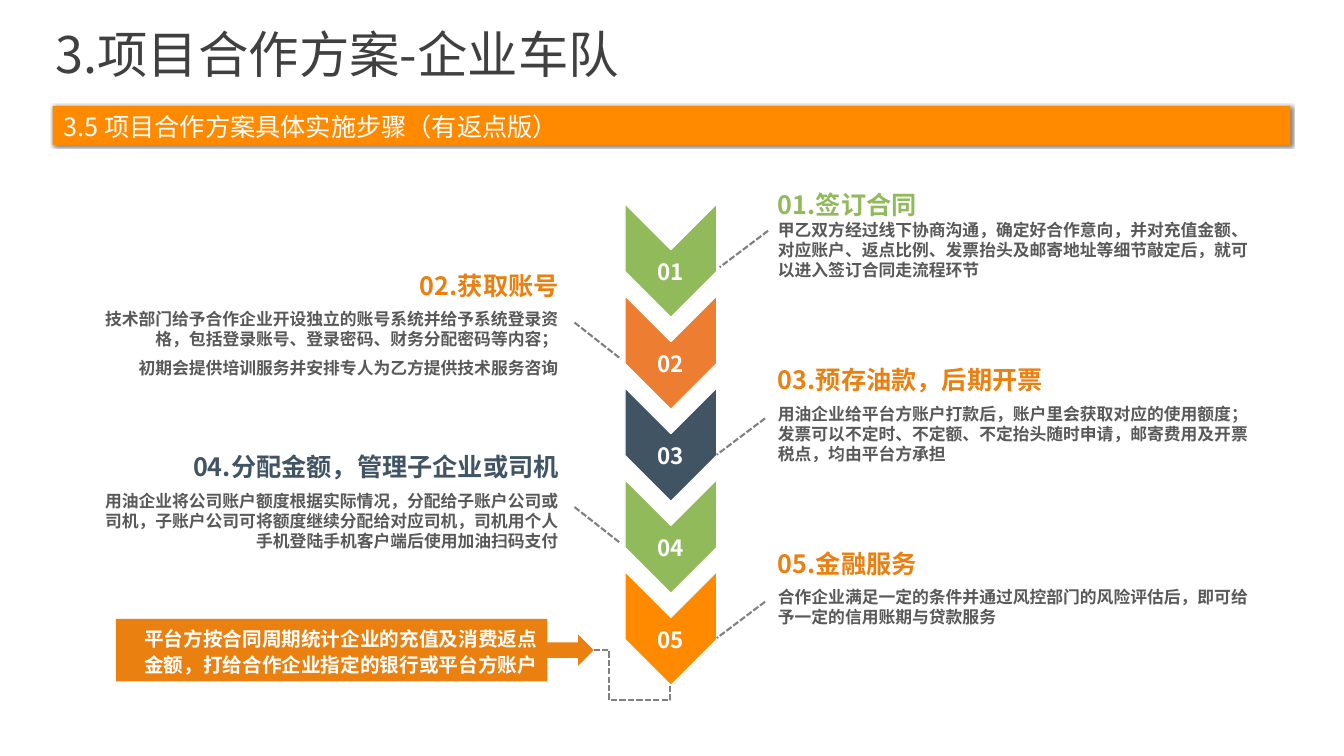
from lxml import etree
from pptx import Presentation
from pptx.dml.color import RGBColor
from pptx.enum.dml import MSO_LINE
from pptx.enum.shapes import MSO_CONNECTOR, MSO_SHAPE
from pptx.enum.text import MSO_ANCHOR, MSO_AUTO_SIZE, PP_ALIGN
from pptx.oxml.ns import qn
from pptx.util import Pt

FONT = "Noto Sans CJK SC"
COLORS = {
    "title": "404040", "body": "595959", "white": "FFFFFF", "leader": "808080",
    "bar": "FF8A00", "amber": "EA8010", "orange": "ED7D31",
    "green": "91BA5B", "slate": "415463", "shadow": "000000",
}
LEFT, CENTER, RIGHT = PP_ALIGN.LEFT, PP_ALIGN.CENTER, PP_ALIGN.RIGHT
TOP, MIDDLE = MSO_ANCHOR.TOP, MSO_ANCHOR.MIDDLE
FIT = MSO_AUTO_SIZE.SHAPE_TO_FIT_TEXT
STRAIGHT, ELBOW = MSO_CONNECTOR.STRAIGHT, MSO_CONNECTOR.ELBOW

CHEVRON_COLORS = ["green", "orange", "slate", "green", "bar"]
STEPS = [
    ("01.签订合同", "green", (548.6, 131.8, 354.5, 73.4), LEFT, 0, (548.6, 164.9),
     ["甲乙双方经过线下协商沟通，确定好合作意向，并对充值金额、对应账户、返点比例、"
      "发票抬头及邮寄地址等细节敲定后，就可以进入签订合同走流程环节"]),
    ("02.获取账号", "amber", (64.8, 189.4, 341.3, 85.7), RIGHT, 6, (410.4, 230.4),
     ["技术部门给予合作企业开设独立的账号系统并给予系统登录资格，"
      "包括登录账号、登录密码、财务分配密码等内容；",
      "初期会提供培训服务并安排专人为乙方提供技术服务咨询"]),
    ("03.预存油款，后期开票", "amber", (548.6, 257, 355, 100.1), LEFT, 6, (546.5, 298.8),
     ["用油企业给平台方账户打款后，账户里会获取对应的使用额度；"
      "发票可以不定时、不定额、不定抬头随时申请，邮寄费用及开票税点，均由平台方承担"]),
    ("04.分配金额，管理子企业或司机", "slate", (64.8, 319, 341.3, 100.1), RIGHT, 6, (410.4, 362.2),
     ["用油企业将公司账户额度根据实际情况，分配给子账户公司或司机，"
      "子账户公司可将额度继续分配给对应司机，司机用个人手机登陆手机客户端后使用加油扫码支付"]),
    ("05.金融服务", "amber", (548.6, 388.1, 355, 64.8), LEFT, 6, (546.5, 429.8),
     ["合作企业满足一定的条件并通过风控部门的风险评估后，即可给予一定的信用账期与贷款服务"]),
]


def rgb(name):
    return RGBColor.from_string(COLORS[name])


def points(*values):
    return [Pt(value) for value in values]


def add_span(para, text, size, color, bold=False):
    span = para.add_run()
    span.text = text
    span.font.size = Pt(size)
    span.font.bold = bold
    span.font.color.rgb = rgb(color)
    span.font.name = FONT
    etree.SubElement(span.font._element, qn("a:ea"), typeface=FONT)


def set_frame(frame, insets=(7.2, 3.6, 7.2, 3.6), anchor=TOP):
    frame.word_wrap = True
    frame.vertical_anchor = anchor
    (frame.margin_left, frame.margin_top,
     frame.margin_right, frame.margin_bottom) = points(*insets)


def add_block(shapes, kind, box, fill):
    block = shapes.add_shape(kind, *points(*box))
    block.shadow.inherit = False
    block.fill.solid()
    block.fill.fore_color.rgb = rgb(fill)
    block.line.fill.background()
    return block


def add_leader(page, kind, start, end):
    leader = page.shapes.add_connector(kind, *points(*start, *end))
    leader.line.color.rgb = rgb("leader")
    leader.line.width = Pt(1.5)
    leader.line.dash_style = MSO_LINE.SQUARE_DOT
    etree.SubElement(leader._element.spPr, qn("a:effectLst"))
    return leader


def add_title(page, box):
    title = page.shapes.title
    title.left, title.top, title.width, title.height = points(*box)
    set_frame(title.text_frame, (0, 0, 0, 0))
    title.text_frame.auto_size = MSO_AUTO_SIZE.NONE
    para = title.text_frame.paragraphs[0]
    para.alignment = LEFT
    para.line_spacing = 0.8
    add_span(para, "3.项目合作方案-企业车队", 36, "title")


def add_subtitle_bar(page, box):
    bar = add_block(page.shapes, MSO_SHAPE.RECTANGLE, box, "bar")
    effects = bar._element.spPr.find(qn("a:effectLst"))
    shadow = etree.SubElement(effects, qn("a:outerShdw"), blurRad=str(Pt(2)),
                              dist=str(Pt(1)), dir="2700000", rotWithShape="0")
    tint = etree.SubElement(shadow, qn("a:srgbClr"), val=COLORS["shadow"])
    etree.SubElement(tint, qn("a:alpha"), val="50000")
    set_frame(bar.text_frame, (7.9, 2, 0, 0), MIDDLE)
    para = bar.text_frame.paragraphs[0]
    para.alignment = LEFT
    add_span(para, "3.5 项目合作方案具体实施步骤（有返点版）", 18, "white")


def add_chevrons(page, left, top, pitch):
    column = page.shapes.add_group_shape()
    for index, color in enumerate(CHEVRON_COLORS):
        row = top + index * pitch
        chevron = add_block(column.shapes, MSO_SHAPE.CHEVRON, (left, row, 81.4, 65.5), color)
        chevron.rotation = 90
        chevron.line.color.rgb = rgb("white")
        chevron.line.width = Pt(1)
        label = column.shapes.add_textbox(*points(left + 7.9, row + 27.6, 64.8, 28))
        set_frame(label.text_frame)
        label.text_frame.auto_size = FIT
        para = label.text_frame.paragraphs[0]
        para.alignment = CENTER
        add_span(para, f"{index + 1:02d}", 16, "white", True)


def add_step(page, heading, color, box, align, gap, leader_start, details):
    block = page.shapes.add_textbox(*points(*box))
    frame = block.text_frame
    set_frame(frame)
    frame.auto_size = FIT
    lines = [(heading, 18, color)] + [(detail, 12, "body") for detail in details]
    for index, (text, size, tone) in enumerate(lines):
        para = frame.add_paragraph() if index else frame.paragraphs[0]
        para.alignment = align
        para.space_after = Pt(gap)
        add_span(para, text, size, tone, True)
    across = 33.1 if align == RIGHT else -34.5
    add_leader(page, STRAIGHT, leader_start, (leader_start[0] + across, leader_start[1] + 26))


def add_rebate_callout(page, box, target):
    left, top, width, height = box
    callout = add_block(page.shapes, MSO_SHAPE.RIGHT_ARROW_CALLOUT, box, "amber")
    for index, ratio in enumerate((0.25, 0.25, 0.25, 0.903)):
        callout.adjustments[index] = ratio
    set_frame(callout.text_frame, anchor=MIDDLE)
    para = callout.text_frame.paragraphs[0]
    para.alignment = RIGHT
    para.line_spacing = 1.1
    add_span(para, "平台方按合同周期统计企业的充值及消费返点金额，"
                   "打给合作企业指定的银行或平台方账户", 14, "white", True)
    link = add_leader(page, ELBOW, (left + width, top + height / 2), target)
    geometry = link._element.spPr.find(qn("a:prstGeom"))
    geometry.set("prst", "bentConnector4")
    guides = geometry.find(qn("a:avLst"))
    for name, ratio in (("adj1", 20400), ("adj2", 145800)):
        etree.SubElement(guides, qn("a:gd"), name=name, fmla=f"val {ratio}")


def main():
    deck = Presentation()
    deck.slide_width, deck.slide_height = points(960, 540)
    page = deck.slides.add_slide(deck.slide_layouts[5])
    add_title(page, (39.6, 25.2, 882.7, 44.6))
    add_subtitle_bar(page, (37.5, 75.6, 884.2, 28.1))
    add_chevrons(page, 438.5, 153.4, 65.7)
    for step in STEPS:
        add_step(page, *step)
    add_rebate_callout(page, (82.8, 442.1, 341.3, 44.6), (478.8, 488.9))
    deck.save("out.pptx")


if __name__ == "__main__":
    main()
